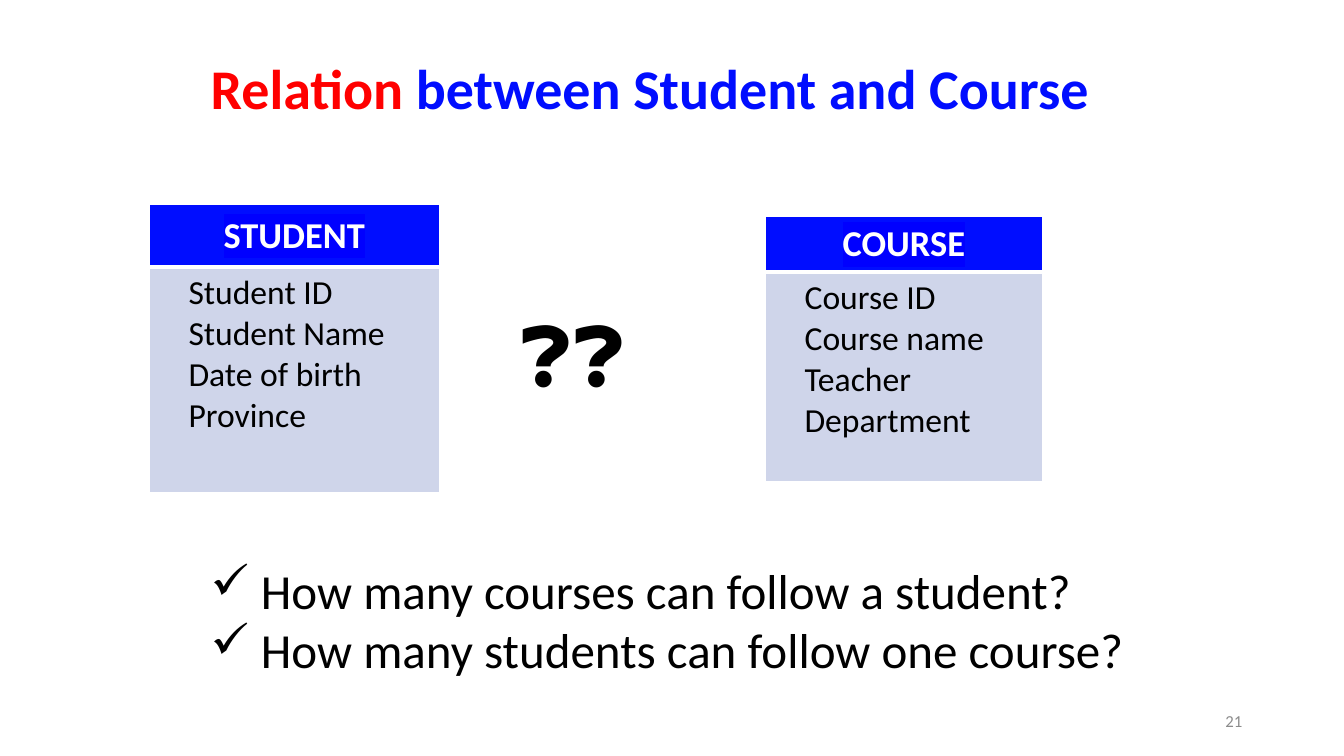
from lxml.etree import SubElement
from pptx import Presentation
from pptx.dml.color import RGBColor
from pptx.enum.text import MSO_ANCHOR, MSO_AUTO_SIZE, PP_ALIGN
from pptx.oxml import parse_xml
from pptx.oxml.ns import nsdecls, qn
from pptx.util import Inches, Pt

BLUE, RED, BLACK, WHITE = "000DFF", "FF0000", "000000", "FFFFFF"
PALE, GREY, MARK = "CFD5EA", "8C8C8C", "0000FF"


def paint(item, tint):
    """Give a fill a solid colour."""
    item.solid()
    item.fore_color.rgb = RGBColor.from_string(tint)


def style(para, size, tint, bold=False, align=PP_ALIGN.LEFT):
    """Set the font and alignment of a paragraph."""
    para.alignment = align
    font = para.font
    font.name, font.size, font.bold = "Calibri", Pt(size), bold
    paint(font.fill, tint)


def place(shape, box):
    """Move a shape to a box given in inches."""
    shape.left, shape.top, shape.width, shape.height = map(Inches, box)


def write(frame, lines, size, tint, **looks):
    """Fill a text frame with one paragraph per line."""
    for i, line in enumerate(lines):
        para = frame.paragraphs[0] if i == 0 else frame.add_paragraph()
        para.add_run().text = line
        style(para, size, tint, **looks)


def edge(cell, **widths):
    """Draw white borders of the given point widths, in schema order."""
    props = cell._tc.get_or_add_tcPr()
    for i, side in enumerate("LRTB"):
        width = Pt(widths.get(side, 1))
        props.insert(i, parse_xml(
            f'<a:ln{side} {nsdecls("a")} w="{width}"><a:solidFill>'
            f'<a:srgbClr val="{WHITE}"/></a:solidFill></a:ln{side}>'))


def title(slide, box):
    """Place the two-coloured title."""
    shape = slide.shapes.title
    place(shape, box)
    paint(shape.fill, WHITE)
    frame = shape.text_frame
    frame.vertical_anchor = MSO_ANCHOR.TOP
    frame.auto_size = MSO_AUTO_SIZE.NONE
    para = frame.paragraphs[0]
    style(para, 40, BLUE, bold=True)
    for text, tint in (("Relation", RED), (" between Student and Course", BLUE)):
        run = para.add_run()
        run.text = text
        paint(run.font.fill, tint)


def entity(slide, box, head, name, fields):
    """Draw an entity table with a header of the given height."""
    table = slide.shapes.add_table(2, 1, *map(Inches, box)).table
    table.rows[0].height = Inches(head)
    table.rows[1].height = Inches(box[3] - head)
    top, body = table.cell(0, 0), table.cell(1, 0)
    paint(top.fill, BLUE)
    paint(body.fill, PALE)
    edge(top, B=3)
    edge(body, T=3)
    top.vertical_anchor = MSO_ANCHOR.MIDDLE
    body.margin_left = Inches(0.39)
    write(top.text_frame, [name], 26, WHITE, bold=True, align=PP_ALIGN.CENTER)
    write(body.text_frame, fields, 24, BLACK)
    run = top.text_frame.paragraphs[0].runs[0]
    paint(run.font.fill, WHITE)
    mark = SubElement(run.font._element, qn("a:highlight"))
    SubElement(mark, qn("a:srgbClr"), val=MARK)


def label(slide, box, text, size, tint, anchor=MSO_ANCHOR.TOP, **looks):
    """Place a single line of text."""
    frame = slide.shapes.add_textbox(*map(Inches, box)).text_frame
    frame.word_wrap = True
    frame.vertical_anchor = anchor
    write(frame, [text], size, tint, **looks)


def checks(slide, box, lines):
    """Place a list with check mark bullets."""
    frame = slide.shapes.add_textbox(*map(Inches, box)).text_frame
    frame.word_wrap = False
    for i, line in enumerate(lines):
        para = frame.paragraphs[0] if i == 0 else frame.add_paragraph()
        para.add_run().text = line
        props = para._p.get_or_add_pPr()
        props.set("marL", str(Inches(0.5)))
        props.set("indent", str(-Inches(0.5)))
        SubElement(props, qn("a:buChar"), char="✓")
        style(para, 35, BLACK)


def main():
    """Build and save the slide."""
    deck = Presentation()
    deck.slide_width, deck.slide_height = Inches(13.33), Inches(7.5)
    slide = deck.slides.add_slide(deck.slide_layouts[5])
    title(slide, (1.99, 0.48, 10.8, 0.77))
    entity(slide, (1.48, 2.03, 2.88, 2.86), 0.62, "STUDENT",
           ["Student ID", "Student Name", "Date of birth", "Province"])
    entity(slide, (7.59, 2.15, 2.75, 2.63), 0.55, "COURSE",
           ["Course ID", "Course name", "Teacher", "Department"])
    label(slide, (5.05, 2.97, 1.85, 2.12), "❓❓", 54, BLACK)
    checks(slide, (1.99, 5.51, 9.34, 1.28),
           ["How many courses can follow a student?",
            "How many students can follow one course?"])
    label(slide, (9.42, 6.95, 3, 0.4), "21", 12, GREY,
          anchor=MSO_ANCHOR.MIDDLE, align=PP_ALIGN.RIGHT)
    deck.save("out.pptx")


if __name__ == "__main__":
    main()
